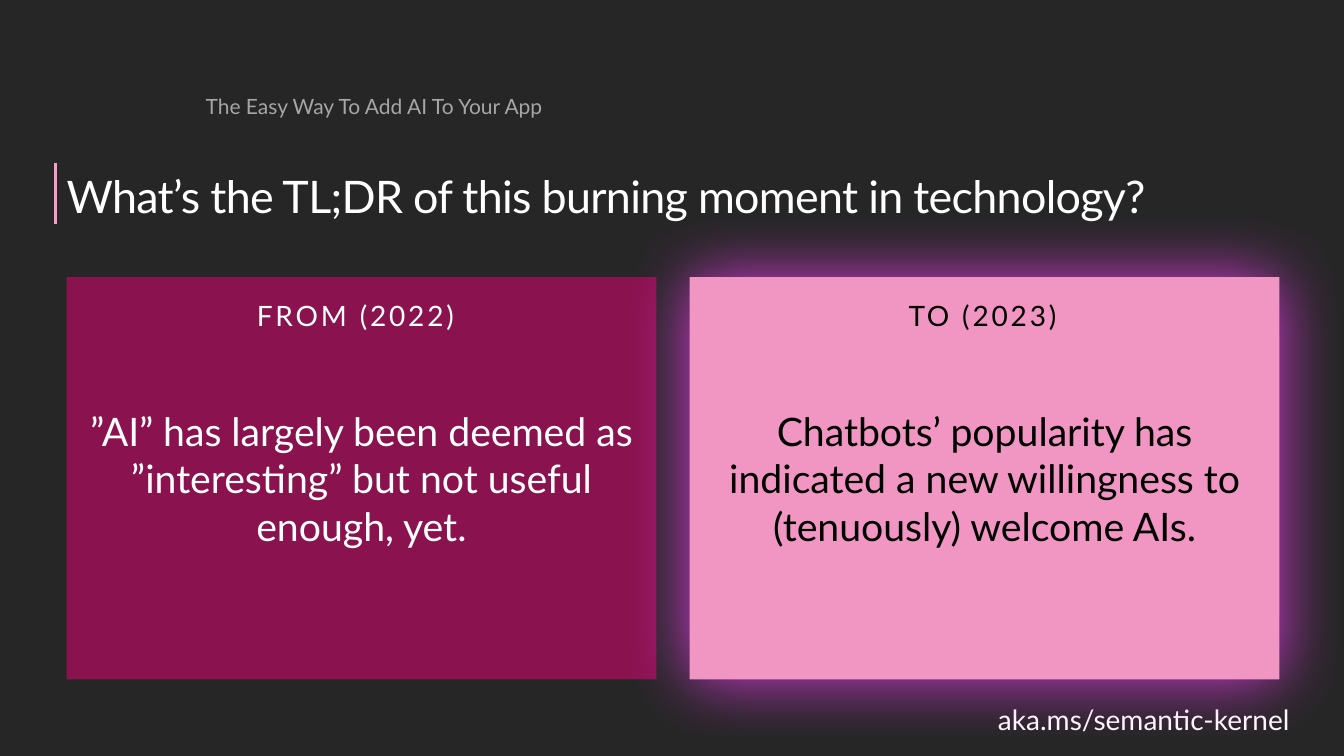
from lxml.etree import SubElement as Sub
from pptx import Presentation
from pptx.dml.color import RGBColor as RGB
from pptx.enum.shapes import MSO_CONNECTOR as Line
from pptx.enum.text import MSO_ANCHOR as Anchor, MSO_AUTO_SIZE as Auto, PP_ALIGN as Align
from pptx.oxml.ns import qn
from pptx.util import Inches as In, Pt

FONT = "Lato"
BACK, WHITE, GRAY, ROSE, GLOW = "262626", "FFFFFF", "A6A6A6", "FF99CC", "FF40FF"
TITLE = "What’s the TL;DR of this burning moment in technology?"
TAG = "The Easy Way To Add AI To Your App"
LINK = "aka.ms/semantic-kernel"
PANELS = [
    {"head": "FROM (2022)", "fill": "8A134F", "ink": WHITE, "glow": False, "shift": 0.13,
     "text": "”AI” has largely been deemed as ”interesting” but not useful enough, yet."},
    {"head": "TO (2023)", "fill": "F195C3", "ink": "000000", "glow": True, "shift": 0.17,
     "text": "Chatbots’ popularity has indicated a new willingness to (tenuously) welcome AIs."},
]
LEFT, TOP, WIDE, HIGH, GAP = 0.66, 2.75, 5.85, 3.99, 0.33
SLIM = (0, 0.05, 0.1, 0.05)


def color(code):
    return RGB.from_string(code)


def write(shape, box, text, size, ink, pads=SLIM, align=Align.LEFT,
          anchor=Anchor.TOP, track=0):
    shape.left, shape.top, shape.width, shape.height = map(In, box)
    frame = shape.text_frame
    frame.text = text
    frame.word_wrap, frame.auto_size = True, Auto.NONE
    frame.vertical_anchor = anchor
    (frame.margin_left, frame.margin_top,
     frame.margin_right, frame.margin_bottom) = map(In, pads)
    para = frame.paragraphs[0]
    para.alignment, para.line_spacing = align, 1.0
    para.space_before = Pt(0)
    props = para._p.get_or_add_pPr()
    props.set("marL", "0")
    props.set("indent", "0")
    Sub(props, qn("a:buNone"))
    font = para.font
    font.name, font.size, font.bold = FONT, Pt(size), False
    font.color.rgb = color(ink)
    if track:
        para.runs[0].font._element.set("spc", str(int(track * 100)))


def add_glow(shape):
    fx = Sub(shape._element.spPr, qn("a:effectLst"))
    shade = Sub(fx, qn("a:outerShdw"), blurRad=str(Pt(49.9)), dist="0",
                dir="0", algn="ctr", rotWithShape="0")
    tint = Sub(shade, qn("a:srgbClr"), val=GLOW)
    Sub(tint, qn("a:alpha"), val="81000")


def main():
    deck = Presentation()
    deck.slide_width, deck.slide_height = In(13.33), In(7.5)
    slide = deck.slides.add_slide(deck.slide_layouts[4])
    slide.background.fill.solid()
    slide.background.fill.fore_color.rgb = color(BACK)
    shapes = slide.shapes
    title, *bodies = slide.placeholders
    heads, cards = bodies[::2], bodies[1::2]

    for box, text, size, ink, pads, align in [
        ((9.72, 6.97, 3.07, 0.34), LINK, 20, WHITE, (0, 0, 0, 0), Align.RIGHT),
        ((2.04, 0.88, 7.1, 0.35), TAG, 15, GRAY, SLIM, Align.LEFT),
    ]:
        write(shapes.add_textbox(0, 0, 0, 0), box, text, size, ink, pads, align)

    bar = shapes.add_connector(Line.STRAIGHT, In(0.55), In(1.62), In(0.55), In(2.22))
    bar.line.color.rgb, bar.line.width = color(ROSE), Pt(2.25)
    Sub(bar._element.spPr, qn("a:effectLst"))

    write(title, (LEFT, 1.62, 12.05, 0.61), TITLE, 32, WHITE, track=-0.5)
    for col, (panel, head, card) in enumerate(zip(PANELS, heads, cards)):
        x = LEFT + col * (WIDE + GAP)
        write(card, (x, TOP, WIDE, HIGH), panel["text"], 28, panel["ink"],
              (0.2,) * 4, Align.CENTER, Anchor.MIDDLE)
        card.fill.solid()
        card.fill.fore_color.rgb = color(panel["fill"])
        if panel["glow"]:
            add_glow(card)
        write(head, (x + panel["shift"], TOP + 0.2, 5.57, 0.35), panel["head"], 20,
              panel["ink"], align=Align.CENTER, anchor=Anchor.MIDDLE, track=2)

    for item in [title, *cards, *heads]:
        shapes._spTree.append(item._element)
    deck.save("out.pptx")


if __name__ == "__main__":
    main()
